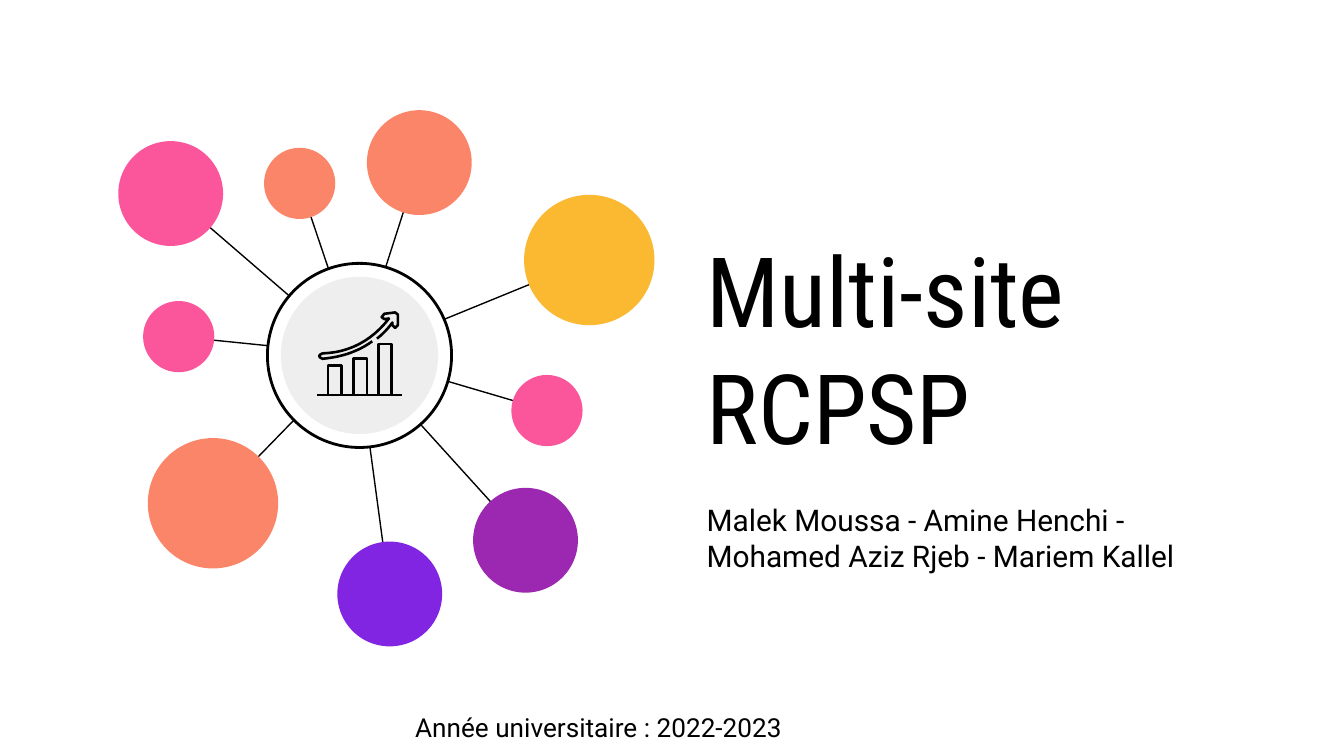
from dataclasses import dataclass

import pptx
import pptx.dml.color
import pptx.enum.shapes
import pptx.enum.text
import pptx.oxml.ns
import pptx.util
from lxml import etree

Point = tuple[float, float]

COLORS = {
    "black": "000000", "white": "FFFFFF", "grey": "EEEEEE", "yellow": "FBB831",
    "coral": "FB8569", "pink": "FB569C", "purple": "9C27B0", "violet": "8225E2",
}
LARGE, MEDIUM, SMALL = 9.7, 7.8, 5.3
HUB: Point = (26.75, 26.45)
SPOKE_END: Point = (26.6, 26.4)
ICON_LINE = 1.4

deck = pptx.Presentation()
deck.slide_width = pptx.util.Inches(10)
deck.slide_height = deck.slide_width * 9 // 16
page = deck.slides.add_slide(deck.slide_layouts[6])
CELL = deck.slide_width / 100  # square grid, 100 columns across the slide


@dataclass(frozen=True)
class Node:
    center: Point
    diameter: float
    color: str


@dataclass(frozen=True)
class Label:
    text: str
    column: float
    row: float
    columns: float
    rows: float
    size: int
    font: str = "Roboto"
    anchor: pptx.enum.text.MSO_ANCHOR = pptx.enum.text.MSO_ANCHOR.MIDDLE


NODES = [
    Node((43.85, 19.35), LARGE, "yellow"),
    Node((15.85, 37.45), LARGE, "coral"),
    Node((31.2, 12.1), MEDIUM, "coral"),
    Node((12.7, 14.4), MEDIUM, "pink"),
    Node((39.1, 40.2), MEDIUM, "purple"),
    Node((29.0, 44.2), MEDIUM, "violet"),
    Node((13.3, 25.05), SMALL, "pink"),
    Node((40.7, 30.55), SMALL, "pink"),
    Node((22.3, 13.65), SMALL, "coral"),
]
LABELS = [
    Label("Multi-site RCPSP", 51.6, 14, 37.6, 23.7, 52, "Roboto Condensed"),
    Label("Malek Moussa - Amine Henchi - Mohamed Aziz Rjeb - Mariem Kallel",
          51.6, 37.7, 43.1, 4.6, 16),
    Label("Année universitaire : 2022-2023", 29.9, 51.9, 44.4, 4.4, 14,
          anchor=pptx.enum.text.MSO_ANCHOR.TOP),
]


def grid(cells: float) -> int:
    return round(cells * CELL)


def rgb(name: str) -> pptx.dml.color.RGBColor:
    return pptx.dml.color.RGBColor.from_string(COLORS[name])


def set_line(shape, width: float) -> None:
    shape.line.color.rgb = rgb("black")
    shape.line.width = pptx.util.Pt(width)


def add_circle(center: Point, diameter: float, color: str, outline: float = 0) -> None:
    left, top = (grid(value - diameter / 2) for value in center)
    circle = page.shapes.add_shape(pptx.enum.shapes.MSO_SHAPE.OVAL, left, top,
                                   grid(diameter), grid(diameter))
    circle.shadow.inherit = False
    circle.fill.solid()
    circle.fill.fore_color.rgb = rgb(color)
    if outline:
        set_line(circle, outline)
    else:
        circle.line.fill.background()


def add_line(start: Point, end: Point, width: float) -> None:
    line = page.shapes.add_connector(pptx.enum.shapes.MSO_CONNECTOR.STRAIGHT,
                                     *map(grid, start + end))
    set_line(line, width)
    etree.SubElement(line._element.spPr, pptx.oxml.ns.qn("a:effectLst"))


def add_label(label: Label) -> None:
    box = page.shapes.add_textbox(grid(label.column), grid(label.row),
                                  grid(label.columns), grid(label.rows))
    frame = box.text_frame
    frame.word_wrap = True
    frame.vertical_anchor = label.anchor
    frame.margin_left = frame.margin_right = grid(1)
    frame.margin_top = frame.margin_bottom = grid(1)
    span = frame.paragraphs[0].add_run()
    span.text = label.text
    span.font.name = label.font
    span.font.size = pptx.util.Pt(label.size)
    span.font.color.rgb = rgb("black")


def curve(start: Point, bend: Point, end: Point, steps: int = 12) -> list[Point]:
    """Return points along a quadratic Bézier curve."""
    shares = [step / steps for step in range(steps + 1)]
    return [tuple((1 - t) ** 2 * a + 2 * t * (1 - t) * b + t ** 2 * c
                  for a, b, c in zip(start, bend, end)) for t in shares]


def add_outline(points: list[Point]) -> None:
    corners = [(grid(column), grid(row)) for column, row in points]
    builder = page.shapes.build_freeform(*corners[0])
    builder.add_line_segments(corners[1:], close=False)
    outline = builder.convert_to_shape()
    outline.shadow.inherit = False
    outline.fill.background()
    set_line(outline, ICON_LINE)


def add_growth_icon() -> None:
    base = 29.4
    add_line((23.6, base), (29.9, base), ICON_LINE)
    for left, top in [(24.4, 27.2), (26.3, 26.7), (28.15, 25.6)]:
        right = left + 1
        add_outline([(left, base), (left, top), (right, top), (right, base)])
    add_outline(
        curve((27.7, 25.4), (26.2, 26.5), (24, 26.7))
        + curve((24, 26.7), (23.5, 26.5), (24, 26.3), 4)
        + curve((24, 26.3), (27, 26.2), (28.95, 23.7))
        + [(28.6, 23.75), (28.4, 23.6), (28.6, 23.35), (29.4, 23.25), (29.6, 23.4),
           (29.6, 24.2), (29.4, 24.4), (29.2, 24.2), (29.2, 24)]
        + curve((29.2, 24), (28.7, 24.7), (28.05, 25.2), 6)
    )


for label in LABELS:
    add_label(label)
for node in NODES:
    add_line(node.center, SPOKE_END, 0.75)
    add_circle(node.center, node.diameter, node.color)
add_circle(HUB, 13.7, "white", 1.5)
add_circle(HUB, 11.7, "grey")
add_growth_icon()

deck.save("out.pptx")
